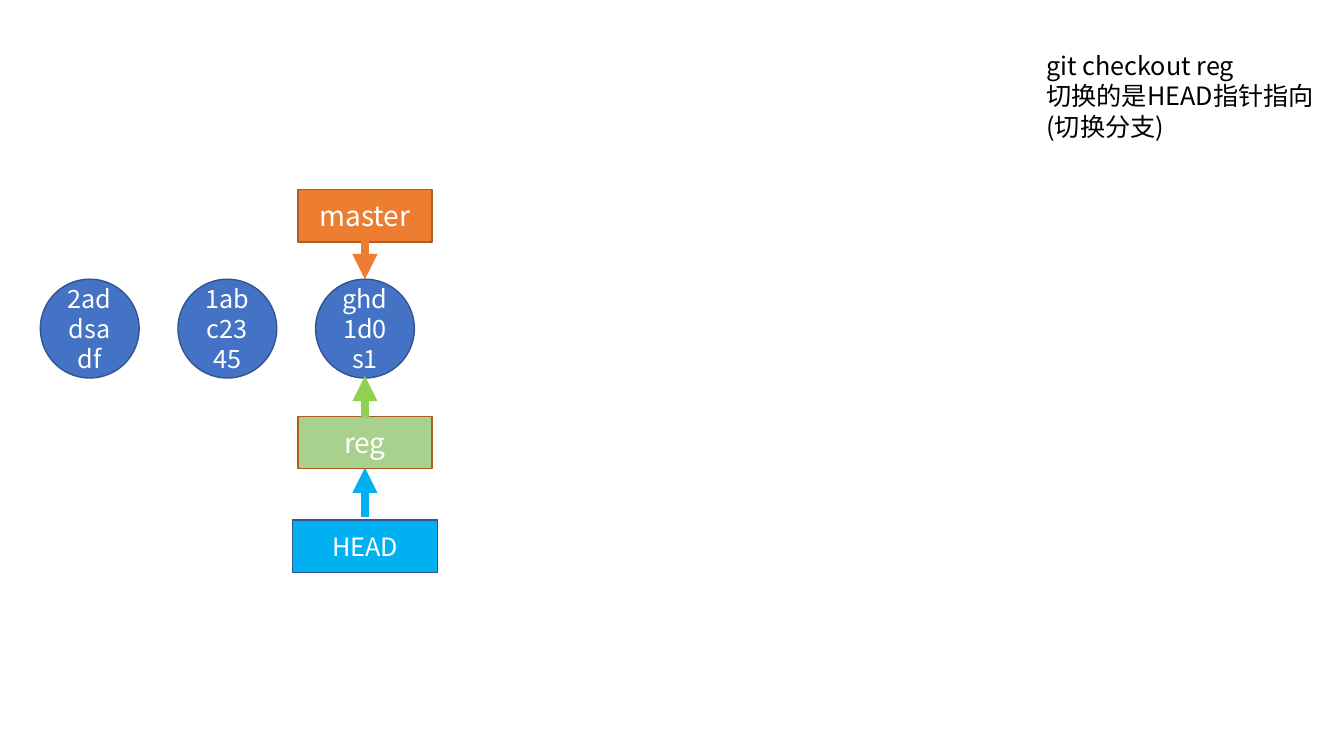
import pptx
import pptx.util
import pptx.dml.color
import pptx.enum.shapes
import pptx.enum.text
import pptx.oxml.ns
from dataclasses import dataclass
from lxml import etree

Inches = pptx.util.Inches
Pt = pptx.util.Pt
qn = pptx.oxml.ns.qn
Kind = pptx.enum.shapes.MSO_SHAPE


@dataclass(frozen=True)
class Theme:
    font: str = "Noto Sans CJK SC"
    body: int = 18
    label: int = 20
    edge: int = 1
    arrow: int = 6
    white: str = "FFFFFF"
    black: str = "000000"
    blue: str = "4472C4"
    navy: str = "325491"
    orange: str = "ED7D31"
    rust: str = "AF5C24"
    sky: str = "00B0F0"
    sage: str = "A9D18E"
    lime: str = "92D050"


theme = Theme()
axis = 3.62


def rgb(code):
    return pptx.dml.color.RGBColor.from_string(code)


def write(para, text, size, color):
    run = para.add_run()
    run.text = text
    run.font.size = Pt(size)
    run.font.name = theme.font
    run.font.color.rgb = rgb(color)
    east = etree.SubElement(run.font._element, qn("a:ea"))
    east.set("typeface", theme.font)


def node(shapes, kind, mid, top, width, height, text, size, fill, edge):
    shape = shapes.add_shape(kind, Inches(mid - width / 2), Inches(top),
                             Inches(width), Inches(height))
    shape.shadow.inherit = False
    shape.fill.solid()
    shape.fill.fore_color.rgb = rgb(fill)
    shape.line.color.rgb = rgb(edge)
    shape.line.width = Pt(theme.edge)
    frame = shape.text_frame
    frame.word_wrap = True
    frame.vertical_anchor = pptx.enum.text.MSO_ANCHOR.MIDDLE
    para = frame.paragraphs[0]
    para.alignment = pptx.enum.text.PP_ALIGN.CENTER
    write(para, text, size, theme.white)


def commit(shapes, mid, text):
    node(shapes, Kind.OVAL, mid, 2.77, 0.98, 0.98, text,
         theme.body, theme.blue, theme.navy)


def label(shapes, top, width, text, size, fill, edge):
    node(shapes, Kind.RECTANGLE, axis, top, width, 0.52, text,
         size, fill, edge)


def arrow(shapes, start, end, color):
    line = shapes.add_connector(pptx.enum.shapes.MSO_CONNECTOR.STRAIGHT,
                                Inches(axis), Inches(start),
                                Inches(axis), Inches(end))
    line.line.color.rgb = rgb(color)
    line.line.width = Pt(theme.arrow)
    tail = etree.SubElement(line.line._get_or_add_ln(), qn("a:tailEnd"))
    tail.set("type", "triangle")
    etree.SubElement(line._element.spPr, qn("a:effectLst"))


def note(shapes, rows):
    box = shapes.add_textbox(Inches(10.28), Inches(0.45),
                             Inches(2.86), Inches(1.01))
    frame = box.text_frame
    frame.word_wrap = True
    frame.auto_size = pptx.enum.text.MSO_AUTO_SIZE.SHAPE_TO_FIT_TEXT
    for i, text in enumerate(rows):
        para = frame.add_paragraph() if i else frame.paragraphs[0]
        write(para, text, theme.body, theme.black)


def main():
    deck = pptx.Presentation()
    deck.slide_width = Inches(13.33)
    deck.slide_height = Inches(7.5)
    shapes = deck.slides.add_slide(deck.slide_layouts[6]).shapes

    first = 0.89
    commits = ["2addsadf", "1abc2345", "ghd1d0s1"]
    step = (axis - first) / (len(commits) - 1)
    for i, text in enumerate(commits):
        commit(shapes, first + i * step, text)

    branch = shapes.add_group_shape().shapes
    label(branch, 1.88, 1.33, "master", theme.label, theme.orange, theme.rust)
    arrow(branch, 2.39, 2.77, theme.orange)

    label(shapes, 5.16, 1.44, "HEAD", theme.body, theme.sky, theme.navy)
    arrow(shapes, 5.13, 4.64, theme.sky)
    note(shapes, ["git checkout reg", "切换的是HEAD指针指向", "(切换分支)"])
    label(shapes, 4.13, 1.33, "reg", theme.label, theme.sage, theme.rust)
    arrow(shapes, 4.15, 3.73, theme.lime)

    deck.save("out.pptx")


if __name__ == "__main__":
    main()
